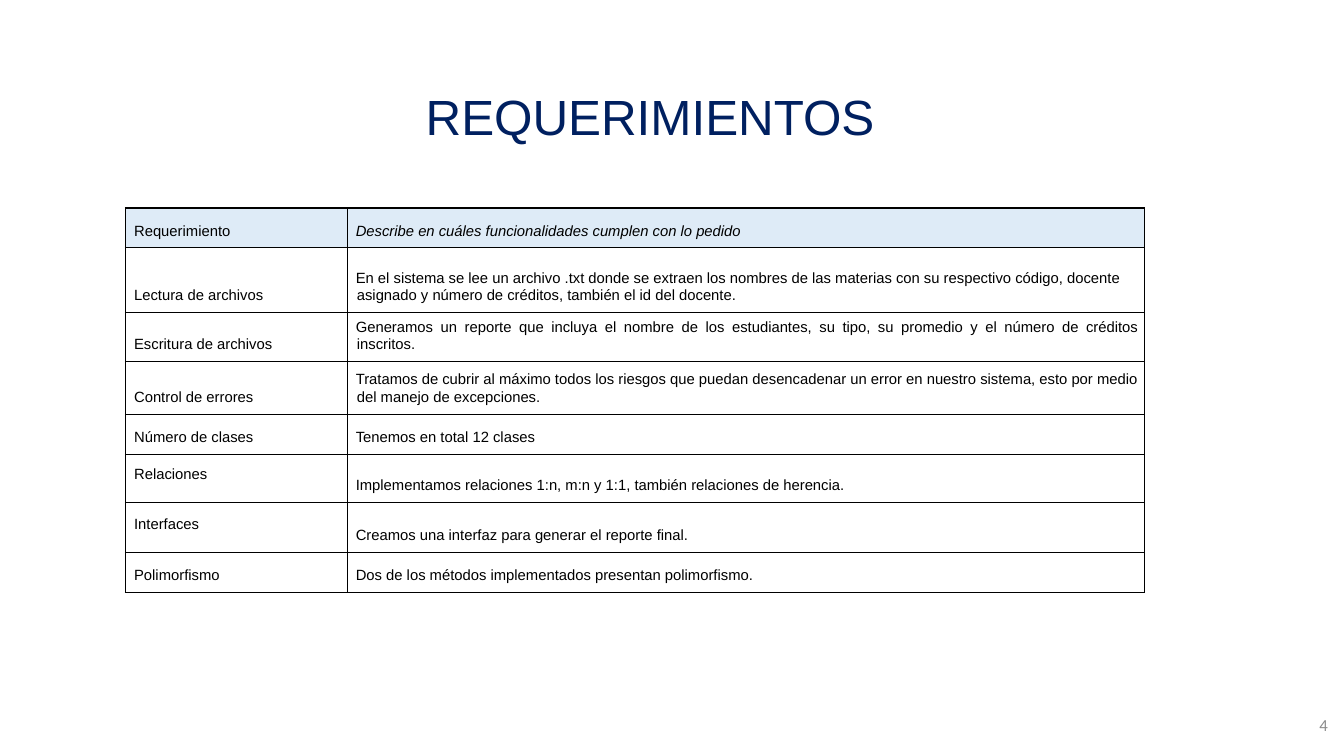
from dataclasses import dataclass

from lxml import etree
from pptx import Presentation
from pptx.dml.color import RGBColor
from pptx.enum.text import MSO_ANCHOR, MSO_AUTO_SIZE, PP_ALIGN
from pptx.oxml.ns import qn
from pptx.slide import Slide
from pptx.table import _Cell
from pptx.text.text import TextFrame, _Paragraph
from pptx.util import Cm, Pt

LEFT, CENTER, RIGHT, JUSTIFY = PP_ALIGN.LEFT, PP_ALIGN.CENTER, PP_ALIGN.RIGHT, PP_ALIGN.JUSTIFY
MIDDLE, BOTTOM = MSO_ANCHOR.MIDDLE, MSO_ANCHOR.BOTTOM
NO_AUTOFIT = MSO_AUTO_SIZE.NONE
TITLE_ONLY = 5


@dataclass(frozen=True)
class TextStyle:
    font: str
    size: float
    color: str


@dataclass(frozen=True)
class Theme:
    title: TextStyle = TextStyle("Arial", 40, "002060")
    body: TextStyle = TextStyle("Arial", 12, "000000")
    number: TextStyle = TextStyle("Calibri", 13.6, "8C8C8C")
    header_fill: str = "DEEBF7"
    border: str = "000000"
    border_width: float = 1


@dataclass(frozen=True)
class Requirement:
    name: str
    description: str
    height: float
    name_anchor: MSO_ANCHOR = BOTTOM
    alignment: PP_ALIGN = LEFT


THEME = Theme()
COLUMN_WIDTHS = (6.35, 22.76)
NAME_INDENT, DESCRIPTION_INDENT = 0.05, 0.03
REQUIREMENTS = (
    Requirement("Requerimiento", "Describe en cuáles funcionalidades cumplen con lo pedido", 1.14),
    Requirement(
        "Lectura de archivos",
        "En el sistema se lee un archivo .txt donde se extraen los nombres de las materias con su "
        "respectivo código, docente asignado y número de créditos, también el id del docente.",
        1.85,
    ),
    Requirement(
        "Escritura de archivos",
        "Generamos un reporte que incluya el nombre de los estudiantes, su tipo, su promedio y el "
        "número de créditos inscritos. ",
        1.4,
        alignment=JUSTIFY,
    ),
    Requirement(
        "Control de errores",
        "Tratamos de cubrir al máximo todos los riesgos que puedan desencadenar un error en nuestro "
        "sistema, esto por medio del manejo de excepciones.",
        1.5,
    ),
    Requirement("Número de clases", "Tenemos en total 12 clases", 1.14),
    Requirement(
        "Relaciones",
        "Implementamos relaciones 1:n, m:n y 1:1, también relaciones de herencia.",
        1.37,
        name_anchor=MIDDLE,
    ),
    Requirement(
        "Interfaces",
        "Creamos una interfaz para generar el reporte final.",
        1.45,
        name_anchor=MIDDLE,
        alignment=JUSTIFY,
    ),
    Requirement("Polimorfismo", "Dos de los métodos implementados presentan polimorfismo.", 1.14),
)


def add_text(paragraph: _Paragraph, text: str, style: TextStyle, italic: bool = False) -> None:
    run = paragraph.add_run()
    run.text = text
    run.font.name = style.font
    run.font.size = Pt(style.size)
    run.font.color.rgb = RGBColor.from_string(style.color)
    run.font.italic = italic


def set_margins(target: TextFrame | _Cell, left: float, top: float, right: float, bottom: float) -> None:
    target.margin_left, target.margin_top = Cm(left), Cm(top)
    target.margin_right, target.margin_bottom = Cm(right), Cm(bottom)


def add_borders(cell: _Cell) -> None:
    properties = cell._tc.get_or_add_tcPr()
    for side in ("a:lnL", "a:lnR", "a:lnT", "a:lnB"):
        line = etree.SubElement(properties, qn(side), w=str(Pt(THEME.border_width)))
        fill = etree.SubElement(line, qn("a:solidFill"))
        etree.SubElement(fill, qn("a:srgbClr"), val=THEME.border)


def fill_cell(
    cell: _Cell, text: str, indent: float, anchor: MSO_ANCHOR, alignment: PP_ALIGN, header: bool, italic: bool
) -> None:
    add_borders(cell)
    if header:
        cell.fill.solid()
        cell.fill.fore_color.rgb = RGBColor.from_string(THEME.header_fill)
    else:
        cell.fill.background()
    set_margins(cell, 0.23, 0.03, 0.15, 0.25)
    cell.vertical_anchor = anchor
    paragraph = cell.text_frame.paragraphs[0]
    paragraph.alignment = alignment
    paragraph.line_spacing = 1.07
    paragraph.space_after = Pt(2.6)
    properties = paragraph._p.get_or_add_pPr()
    properties.set("marL", str(Cm(indent)))
    properties.set("indent", str(Cm(-0.03)))
    add_text(paragraph, text, THEME.body, italic)


def add_requirements_table(slide: Slide) -> None:
    table = slide.shapes.add_table(
        len(REQUIREMENTS),
        len(COLUMN_WIDTHS),
        Cm(3.58),
        Cm(5.94),
        Cm(sum(COLUMN_WIDTHS)),
        Cm(sum(requirement.height for requirement in REQUIREMENTS)),
    ).table
    table.horz_banding = False
    table.first_row = False
    for column, width in zip(table.columns, COLUMN_WIDTHS):
        column.width = Cm(width)
    for index, requirement in enumerate(REQUIREMENTS):
        table.rows[index].height = Cm(requirement.height)
        header = index == 0
        name, description = table.rows[index].cells
        fill_cell(name, requirement.name, NAME_INDENT, requirement.name_anchor, LEFT, header, False)
        fill_cell(
            description, requirement.description, DESCRIPTION_INDENT, BOTTOM, requirement.alignment, header, header
        )


def add_title(slide: Slide) -> None:
    title = slide.shapes.title
    title.left, title.top, title.width, title.height = Cm(6.68), Cm(1.88), Cm(23.77), Cm(3.05)
    frame = title.text_frame
    frame.auto_size = NO_AUTOFIT
    frame.vertical_anchor = MIDDLE
    set_margins(frame, 0.28, 0.15, 0.28, 0.15)
    paragraph = frame.paragraphs[0]
    paragraph.alignment = CENTER
    paragraph.line_spacing = 0.9
    add_text(paragraph, "REQUERIMIENTOS", THEME.title)


def add_slide_number(slide: Slide) -> None:
    frame = slide.shapes.add_textbox(Cm(37.36), Cm(20.14), Cm(0.61), Cm(1.14)).text_frame
    frame.word_wrap = True
    frame.vertical_anchor = MIDDLE
    set_margins(frame, 0, 0, 0.05, 0)
    paragraph = frame.paragraphs[0]
    paragraph.alignment = RIGHT
    add_text(paragraph, "4", THEME.number)


def main() -> None:
    presentation = Presentation()
    presentation.slide_width, presentation.slide_height = Cm(38.38), Cm(21.59)
    slide = presentation.slides.add_slide(presentation.slide_layouts[TITLE_ONLY])
    add_slide_number(slide)
    add_requirements_table(slide)
    add_title(slide)
    presentation.save("out.pptx")


if __name__ == "__main__":
    main()
